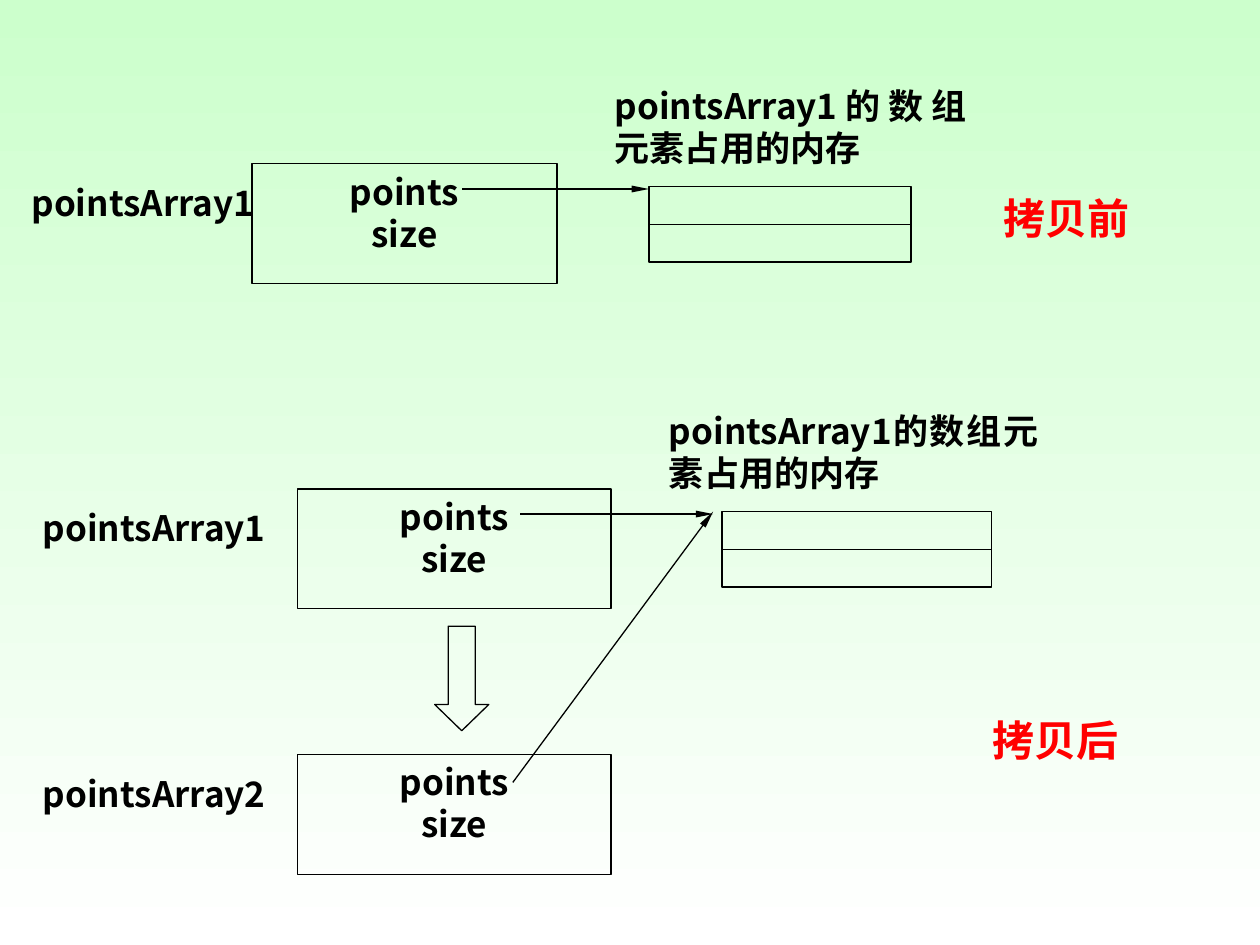
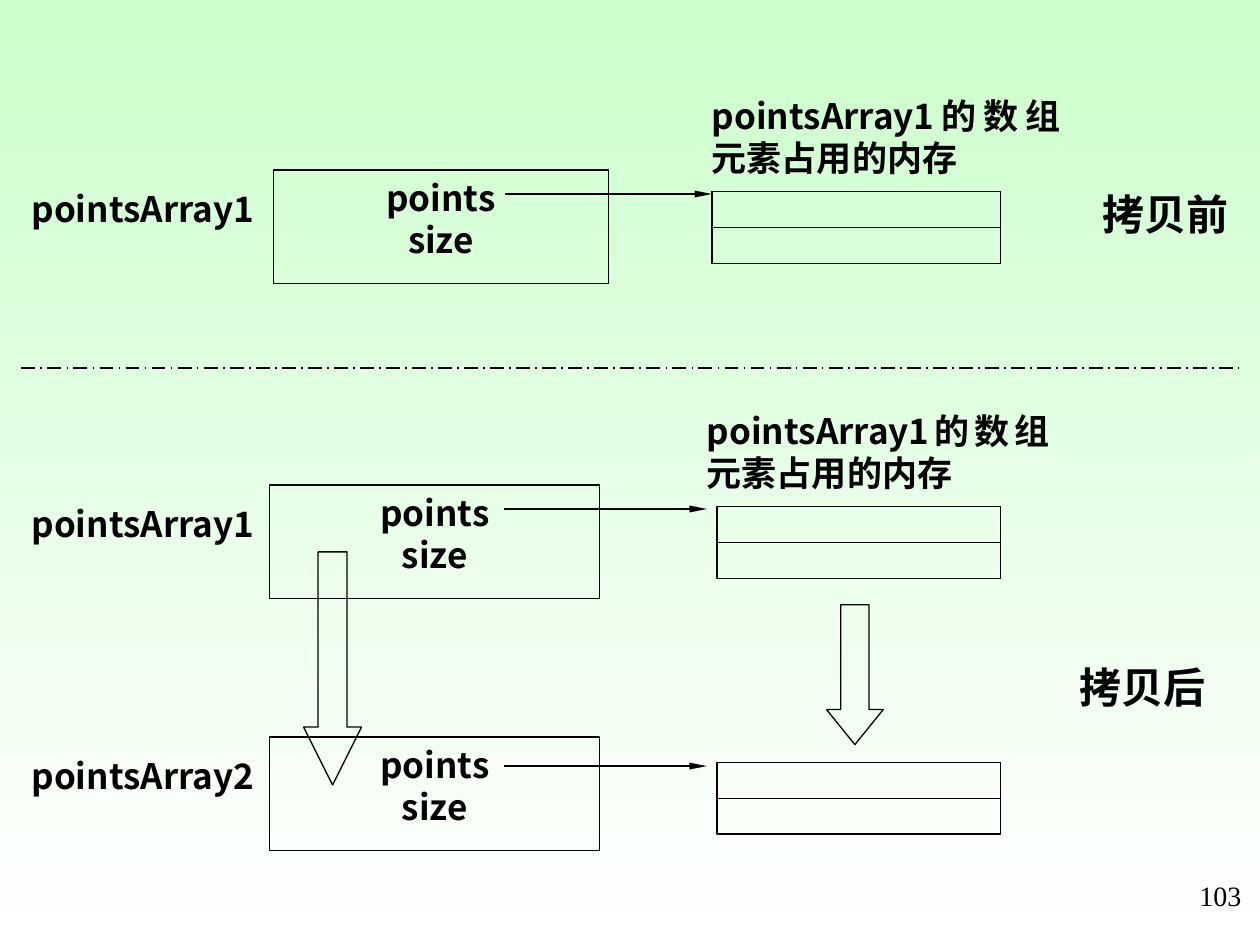
from collections import namedtuple

from lxml import etree
from pptx import Presentation
from pptx.dml.color import RGBColor
from pptx.enum.dml import MSO_LINE
from pptx.enum.shapes import MSO_CONNECTOR, MSO_SHAPE
from pptx.enum.text import MSO_ANCHOR, PP_ALIGN
from pptx.oxml.ns import qn
from pptx.util import Inches, Pt

PALE_GREEN = RGBColor(0xCC, 0xFF, 0xCC)
WHITE = RGBColor(0xFF, 0xFF, 0xFF)
BLACK = RGBColor(0, 0, 0)
RED = RGBColor(0xFF, 0, 0)
SANS = "Noto Sans CJK SC"
SERIF = "Times New Roman"
CAPTION = "pointsArray1的数组元素占用的内存"
FIELDS = "points\nsize"

Box = namedtuple("Box", "left top width height")


def inches(values):
    return [Inches(value) for value in values]


def paint_background(master):
    fill = master.background.fill
    fill.gradient()
    fill.gradient_angle = 270
    for stop, color in zip(fill.gradient_stops, (PALE_GREEN, WHITE)):
        stop.color.rgb = color


def write_text(shape, text, align, size=20, color=BLACK, font=SANS, bold=True,
               side=0, edge=0):
    """Fill the shape with text; side and edge are its insets in inches."""
    frame = shape.text_frame
    frame.text = text
    frame.word_wrap = True
    frame.vertical_anchor = MSO_ANCHOR.TOP
    frame.margin_left = frame.margin_right = Inches(side)
    frame.margin_top = frame.margin_bottom = Inches(edge)
    for paragraph in frame.paragraphs:
        paragraph.alignment = align
        for run in paragraph.runs:
            run.font.name = font
            run.font.size = Pt(size)
            run.font.bold = bold
            run.font.color.rgb = color
            east_asian = etree.SubElement(run.font._element, qn("a:ea"))
            east_asian.set("typeface", SANS)


def add_text(slide, box, text, align=PP_ALIGN.JUSTIFY, **style):
    write_text(slide.shapes.add_textbox(*inches(box)), text, align, **style)


def add_stage(slide, box, text, color):
    add_text(slide, box, text, PP_ALIGN.CENTER, size=24, color=color, side=0.1)


def add_outline(slide, preset, box):
    shape = slide.shapes.add_shape(preset, *inches(box))
    shape.shadow.inherit = False
    shape.fill.background()
    shape.line.color.rgb = BLACK
    shape.line.width = Pt(0.75)
    return shape


def add_line(slide, start, end, width=0.75):
    line = slide.shapes.add_connector(MSO_CONNECTOR.STRAIGHT, *inches(start + end))
    line.line.color.rgb = BLACK
    line.line.width = Pt(width)
    etree.SubElement(line._element.spPr, qn("a:effectLst"))
    return line


def add_pointer(slide, start, end):
    outline = add_line(slide, start, end).line._get_or_add_ln()
    head = etree.SubElement(outline, qn("a:tailEnd"))
    for name, value in (("type", "triangle"), ("w", "sm"), ("len", "lg")):
        head.set(name, value)


def add_array_object(slide, box, name, name_left):
    """Draw the object's fields in the box and its name to the left of it."""
    shape = add_outline(slide, MSO_SHAPE.RECTANGLE, box)
    write_text(shape, FIELDS, PP_ALIGN.CENTER, edge=0.05)
    name_box = Box(name_left, box.top + 0.15 * box.height, 1.99, 0.36)
    add_text(slide, name_box, name)


def add_memory(slide, box):
    """Draw a block of two equal cells."""
    block = add_outline(slide, MSO_SHAPE.RECTANGLE, box)
    middle = box.top + box.height / 2
    divider = add_line(slide, (box.left, middle), (box.left + box.width, middle))
    divider.begin_connect(block, 1)
    divider.end_connect(block, 3)


def add_copy_arrow(slide, box, head_ratio):
    arrow = add_outline(slide, MSO_SHAPE.DOWN_ARROW, box)
    arrow.adjustments[0] = 0.5
    arrow.adjustments[1] = head_ratio


def build_shallow_copy(slide):
    add_memory(slide, Box(5.15, 1.48, 2.08, 0.6))
    add_text(slide, Box(4.88, 0.67, 2.79, 0.77), CAPTION)
    add_pointer(slide, (3.67, 1.5), (5.15, 1.5))
    add_array_object(slide, Box(2, 1.3, 2.42, 0.95), "pointsArray1", 0.25)

    for top, name in ((3.88, "pointsArray1"), (5.99, "pointsArray2")):
        add_array_object(slide, Box(2.36, top, 2.49, 0.95), name, 0.34)
    add_text(slide, Box(5.31, 3.25, 2.93, 0.77), CAPTION)
    add_memory(slide, Box(5.73, 4.06, 2.14, 0.6))
    add_pointer(slide, (4.13, 4.08), (5.66, 4.08))
    add_pointer(slide, (4.07, 6.21), (5.66, 4.06))
    add_copy_arrow(slide, Box(3.45, 4.97, 0.43, 0.83), 0.485)

    add_stage(slide, Box(7.42, 1.53, 2.09, 0.43), "拷贝前", RED)
    add_stage(slide, Box(7.33, 5.67, 2.09, 0.43), "拷贝后", RED)


def build_deep_copy(slide):
    add_memory(slide, Box(5.65, 1.52, 2.29, 0.57))
    add_text(slide, Box(5.65, 0.75, 2.77, 0.73), CAPTION)
    add_pointer(slide, (4.01, 1.54), (5.65, 1.54))
    add_array_object(slide, Box(2.17, 1.35, 2.66, 0.9), "pointsArray1", 0.25)

    after_rows = (
        ("pointsArray1", 3.85, 4.04, 4.02),
        ("pointsArray2", 5.85, 6.08, 6.05),
    )
    for name, object_top, pointer_y, memory_top in after_rows:
        add_array_object(slide, Box(2.14, object_top, 2.62, 0.9), name, 0.25)
        add_pointer(slide, (4, pointer_y), (5.61, pointer_y))
        add_memory(slide, Box(5.69, memory_top, 2.25, 0.57))
    add_text(slide, Box(5.61, 3.25, 2.72, 0.73), CAPTION)
    add_copy_arrow(slide, Box(6.56, 4.8, 0.45, 1.11), 0.618)
    add_copy_arrow(slide, Box(2.41, 4.38, 0.46, 1.85), 1)

    separator = add_line(slide, (0.17, 2.92), (9.83, 2.92), width=1)
    separator.line.dash_style = MSO_LINE.LONG_DASH_DOT
    add_stage(slide, Box(8.5, 1.5, 1.5, 0.4), "拷贝前", BLACK)
    add_stage(slide, Box(8.33, 5.25, 1.48, 0.4), "拷贝后", BLACK)
    add_text(slide, Box(9.42, 6.92, 0.58, 0.37), "103", PP_ALIGN.LEFT, size=16,
             font=SERIF, bold=False, side=0.1, edge=0.05)


def main():
    presentation = Presentation()
    presentation.slide_width = Inches(10)
    presentation.slide_height = Inches(7.5)
    paint_background(presentation.slide_master)
    blank = presentation.slide_layouts[6]
    for build in (build_shallow_copy, build_deep_copy):
        build(presentation.slides.add_slide(blank))
    presentation.save("out.pptx")


if __name__ == "__main__":
    main()
